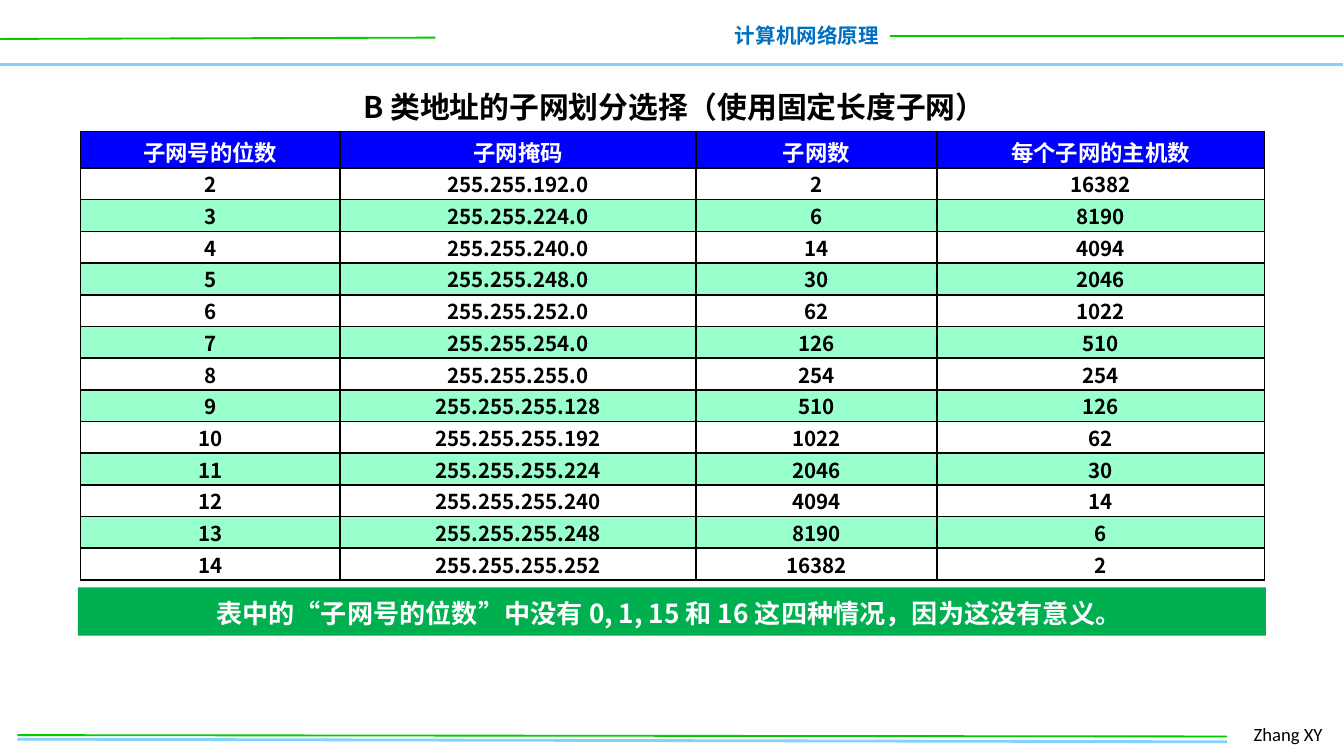
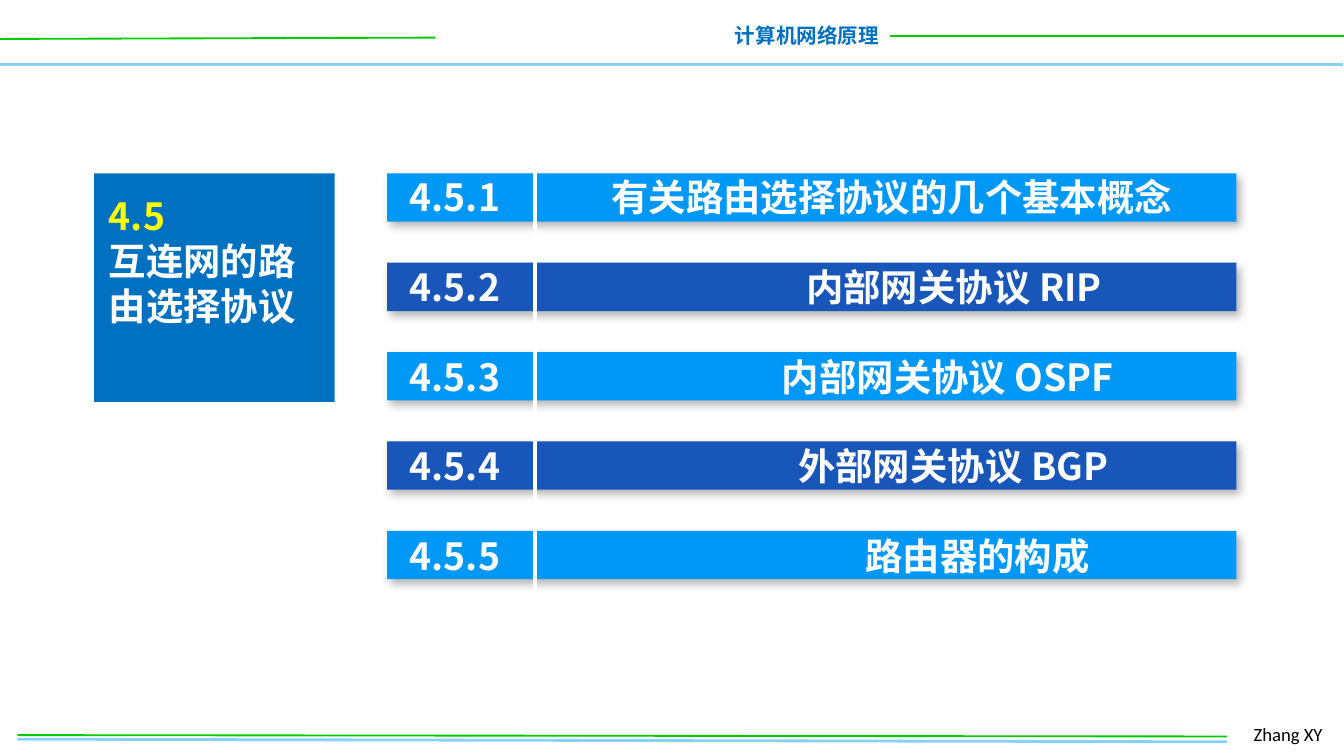
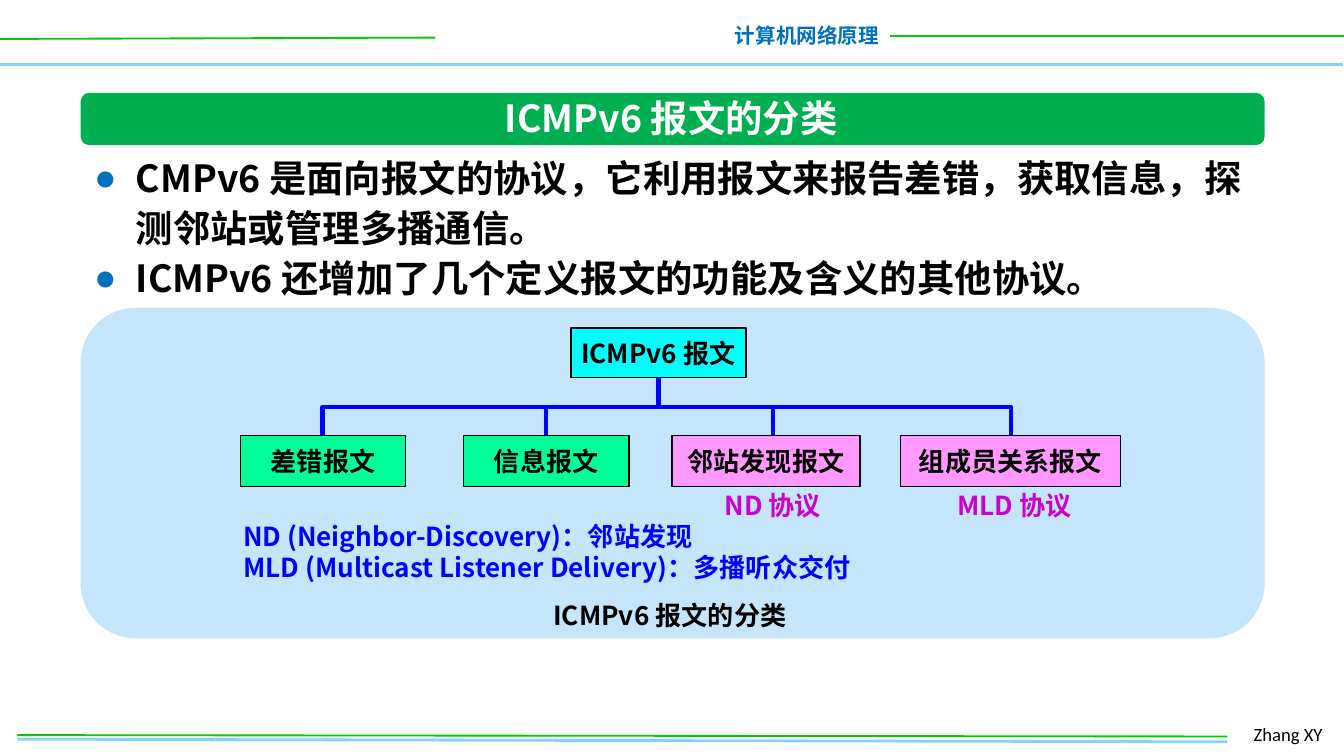
from lxml.etree import SubElement as Sub
from pptx import Presentation
from pptx.dml.color import RGBColor
from pptx.enum.shapes import MSO_CONNECTOR as Conn, MSO_SHAPE as Shape
from pptx.enum.text import MSO_ANCHOR as Anchor, MSO_AUTO_SIZE as Auto, PP_ALIGN as Align
from pptx.oxml.ns import qn
from pptx.util import Inches, Pt

HAN = "Noto Sans CJK SC"
BLACK, WHITE, BLUE = "000000", "FFFFFF", "0000FF"
NAVY, SKY, LIME, GREEN = "0070C0", "85D1F7", "00CC00", "00B050"
LEFT, WIDE = 0.6, 8.81


def rgb(code):
    return RGBColor.from_string(code)


def spots(*sizes):
    return [Inches(size) for size in sizes]


def ink(para, size, color, bold=True, face=HAN):
    """Format every run of a paragraph, for Latin and Chinese letters."""
    for run in para.runs:
        font = run.font
        font.size, font.bold, font.name = Pt(size), bold, face
        font.color.rgb = rgb(color)
        Sub(font._element, qn("a:ea"), typeface=face)


def write(shape, text, size, color, align=Align.LEFT, anchor=Anchor.TOP,
          wrap=True, bold=True, face=HAN):
    frame = shape.text_frame
    frame.text = text
    frame.auto_size, frame.word_wrap = Auto.NONE, wrap
    frame.vertical_anchor = anchor
    for para in frame.paragraphs:
        para.alignment = align
        ink(para, size, color, bold, face)
    return frame


def label(slide, box, text, size, color, **look):
    return write(slide.shapes.add_textbox(*spots(*box)), text, size, color, **look)


def title(slide, box, text, size, color, align=Align.CENTER):
    """Fill the title placeholder and bring it to the front."""
    head = slide.shapes.title
    head.left, head.top, head.width, head.height = spots(*box)
    slide.shapes.element.append(head.element)
    return write(head, text, size, color, align)


def block(slide, box, fill, kind=Shape.RECTANGLE, edge=None):
    shape = slide.shapes.add_shape(kind, *spots(*box))
    shape.shadow.inherit = False
    shape.fill.solid()
    shape.fill.fore_color.rgb = rgb(fill)
    if edge:
        shape.line.color.rgb, shape.line.width = rgb(edge), Pt(0.75)
    else:
        shape.line.fill.background()
    return shape


def shade(shape):
    effects = shape.element.spPr.find(qn("a:effectLst"))
    outer = Sub(effects, qn("a:outerShdw"), blurRad=str(Pt(4.5)), dist=str(Pt(2.6)),
                dir=str(53 * 60000), algn="tl", rotWithShape="0")
    Sub(Sub(outer, qn("a:srgbClr"), val=BLACK), qn("a:alpha"), val="30000")


def rule(slide, ends, color, width):
    line = slide.shapes.add_connector(Conn.STRAIGHT, *spots(*ends))
    line.line.color.rgb, line.line.width = rgb(color), Pt(width)
    Sub(line.element.spPr, qn("a:effectLst"))
    return line


def brand(deck, slide):
    """Draw the header and footer, then move them to the slide master."""
    rule(slide, (-0.01, 0.48, 9.99, 0.48), SKY, 2)
    rule(slide, (0, 0.29, 3.24, 0.28), LIME, 1)
    label(slide, (5.36, 0.12, 1.28, 0.29), "计算机网络原理", 11, NAVY,
          align=Align.RIGHT, wrap=False)
    rule(slide, (6.62, 0.27, 10.01, 0.27), LIME, 1)
    rule(slide, (0.13, 5.5, 9.13, 5.52), SKY, 1.5)
    label(slide, (9.23, 5.33, 0.74, 0.27), "Zhang XY", 10, BLACK,
          bold=False, face="Calibri")
    rule(slide, (0.13, 5.47, 9.13, 5.48), LIME, 1)
    parts = [part for part in slide.shapes if not part.is_placeholder]
    for mark, part in enumerate(parts, 20):
        part.element.xpath(".//p:cNvPr")[0].set("id", str(mark))
        deck.slide_master.shapes.element.append(part.element)


def subnets():
    """Rows of bits, mask, subnet count and host count for a class B address."""
    rows = []
    for bits in range(2, 15):
        mask = 0xFFFF << (16 - bits) & 0xFFFF
        rows.append((bits, f"255.255.{mask >> 8}.{mask & 255}",
                     2 ** bits - 2, 2 ** (16 - bits) - 2))
    return rows


def cell_look(cell, text, size, color, fill):
    cell.text = str(text)
    cell.vertical_anchor = Anchor.MIDDLE
    cell.margin_left = cell.margin_right = Inches(0.07)
    cell.margin_top = cell.margin_bottom = 0
    para = cell.text_frame.paragraphs[0]
    para.alignment = Align.CENTER
    ink(para, size, color)
    props = cell._tc.get_or_add_tcPr()
    for side in ("lnL", "lnR", "lnT", "lnB"):
        edge = Sub(props, qn("a:" + side), w=str(Pt(1)))
        Sub(Sub(edge, qn("a:solidFill")), qn("a:srgbClr"), val=BLACK)
    if fill:
        cell.fill.solid()
        cell.fill.fore_color.rgb = rgb(fill)
    else:
        cell.fill.background()
    return para


def grid(slide, heads, rows, widths, top, high, first):
    table = slide.shapes.add_table(len(rows) + 1, len(heads),
                                   *spots(LEFT, top, WIDE, high)).table
    table.first_row = table.horz_banding = False
    for col, width in zip(table.columns, widths):
        col.width = Inches(width)
    for row in table.rows:
        row.height = Inches((high - first) / len(rows))
    table.rows[0].height = Inches(first)
    for col, head in enumerate(heads):
        cell_look(table.cell(0, col), head, 12, WHITE, BLUE).line_spacing = Pt(19)
    for num, row in enumerate(rows, 1):
        fill = None if num % 2 else "99FFCC"
        for col, value in enumerate(row):
            cell_look(table.cell(num, col), value, 11, BLACK, fill)


def masks(slide):
    title(slide, (2.52, 0.61, 5, 0.37), "B 类地址的子网划分选择（使用固定长度子网）", 16, BLACK)
    grid(slide, ("子网号的位数", "子网掩码", "子网数", "每个子网的主机数"), subnets(),
         (1.93, 2.65, 1.79, 2.44), 0.98, 3.34, 0.27)
    note = write(block(slide, (0.58, 4.37, 8.84, 0.36), GREEN),
                 "表中的“子网号的位数”中没有 0, 1, 15 和 16 这四种情况，因为这没有意义。 ",
                 14, WHITE, Align.CENTER)
    note.paragraphs[0].line_spacing = 1.1


def agenda(slide):
    topics = (("有关路由选择协议的几个基本概念", 1.5), ("内部网关协议 RIP", 2.95),
              ("内部网关协议 OSPF", 2.77), ("外部网关协议 BGP", 2.89),
              ("路由器的构成", 3.39))
    for num in range(len(topics)):
        fill = "1956B9" if num % 2 else "0098F6"
        shade(block(slide, (2.88, 1.29 + num * 0.665, 6.32, 0.36), fill))
    block(slide, (0.7, 1.29, 1.79, 1.7), NAVY)
    head = title(slide, (0.71, 1.39, 1.78, 1.11), "4.5\n互连网的路由选择协议",
                 20, WHITE, Align.LEFT)
    head.paragraphs[0].runs[0].font.color.rgb = rgb("FFFF00")
    rule(slide, (3.98, 1.21, 3.98, 4.45), WHITE, 2.25)
    lines = [f"4.5.{num}\t{name}" for num, (name, _) in enumerate(topics, 1)]
    frame = label(slide, (2.95, 1.25, 6.1, 3.13), "\n".join(lines), 20, WHITE)
    for num, (para, (_, stop)) in enumerate(zip(frame.paragraphs, topics)):
        tabs = Sub(para._p.get_or_add_pPr(), qn("a:tabLst"))
        Sub(tabs, qn("a:tab"), pos=str(Inches(stop)), algn="l")
        para.space_before = Pt(24 if num else 0)


def bullets(slide, box, lines):
    body = slide.placeholders[1]
    body.left, body.top, body.width, body.height = spots(*box)
    for para in write(body, "\n".join(lines), 20, BLACK).paragraphs:
        para.line_spacing, para.space_before = Pt(27), Pt(0)
        props = para._p.get_or_add_pPr()
        props.set("marL", str(Inches(0.31)))
        props.set("indent", str(Inches(-0.31)))
        Sub(Sub(props, qn("a:buClr")), qn("a:srgbClr"), val=NAVY)
        Sub(props, qn("a:buChar"), char="●")


def node(slide, box, text, fill):
    shape = block(slide, box, fill, edge=BLACK)
    write(shape, text, 14, BLACK, Align.CENTER, Anchor.MIDDLE, wrap=False)
    return shape


def tree(slide):
    bar, top, mint, pink = 3.03, 3.24, "00FF99", "FF99FF"
    root = node(slide, (4.25, 2.44, 1.3, 0.37), "ICMPv6 报文", "00FFFF")
    kinds = ((1.79, 1.23, "差错报文", mint), (3.45, 1.23, "信息报文", mint),
             (5, 1.4, "邻站发现报文", pink), (6.7, 1.64, "组成员关系报文", pink))
    kids = [node(slide, (left, top, width, 0.38), text, fill)
            for left, width, text, fill in kinds]
    ends = [Inches(spot) for spot in (2.4, 7.52)]
    high, low = spots(bar, top)
    path = slide.shapes.build_freeform(ends[0], low, scale=1.0)
    path.add_line_segments([(ends[0], high), (ends[1], high), (ends[1], low)], close=False)
    fork = path.convert_to_shape()
    fork.shadow.inherit = False
    fork.fill.background()
    fork.line.color.rgb, fork.line.width = rgb(BLUE), Pt(2.25)
    mid = 3.45 + 1.23 / 2
    rule(slide, (mid, bar, mid, top), BLUE, 2.25).end_connect(kids[1], 0)
    rule(slide, (5.75, bar, 5.75, top), BLUE, 2.25)
    rule(slide, (4.9, 2.81, 4.9, bar), BLUE, 2.25).begin_connect(root, 2)


def messages(slide):
    bullets(slide, (LEFT, 1.06, WIDE, 1.24), (
        "CMPv6 是面向报文的协议，它利用报文来报告差错，获取信息，探测邻站或管理多播通信。",
        "ICMPv6 还增加了几个定义报文的功能及含义的其他协议。"))
    block(slide, (LEFT, 0.69, WIDE, 0.39), GREEN, Shape.ROUNDED_RECTANGLE)
    title(slide, (2.12, 0.66, 5.75, 0.44), "ICMPv6 报文的分类", 20, WHITE)
    block(slide, (LEFT, 2.29, WIDE, 2.46), "C5E5FB", Shape.ROUNDED_RECTANGLE)
    label(slide, (3.53, 4.41, 2.91, 0.34), "ICMPv6 报文的分类", 14, BLACK, align=Align.CENTER)
    tree(slide)
    for left, width, text in ((5.26, 0.98, "ND 协议"), (6.99, 1.12, "MLD 协议")):
        label(slide, (left, 3.59, width, 0.34), text, 14, "CC00CC",
              align=Align.CENTER, wrap=False)
    label(slide, (1.71, 3.82, 4.88, 0.57),
          "ND (Neighbor-Discovery)：邻站发现\n"
          "MLD (Multicast Listener Delivery)：多播听众交付", 14, BLUE)


def main():
    deck = Presentation()
    deck.slide_width = Inches(10)
    deck.slide_height = Inches(10 * 9 / 16)
    plain, listed = deck.slide_layouts[5], deck.slide_layouts[1]
    first = deck.slides.add_slide(plain)
    brand(deck, first)
    masks(first)
    agenda(deck.slides.add_slide(plain))
    messages(deck.slides.add_slide(listed))
    deck.save("out.pptx")


if __name__ == "__main__":
    main()
